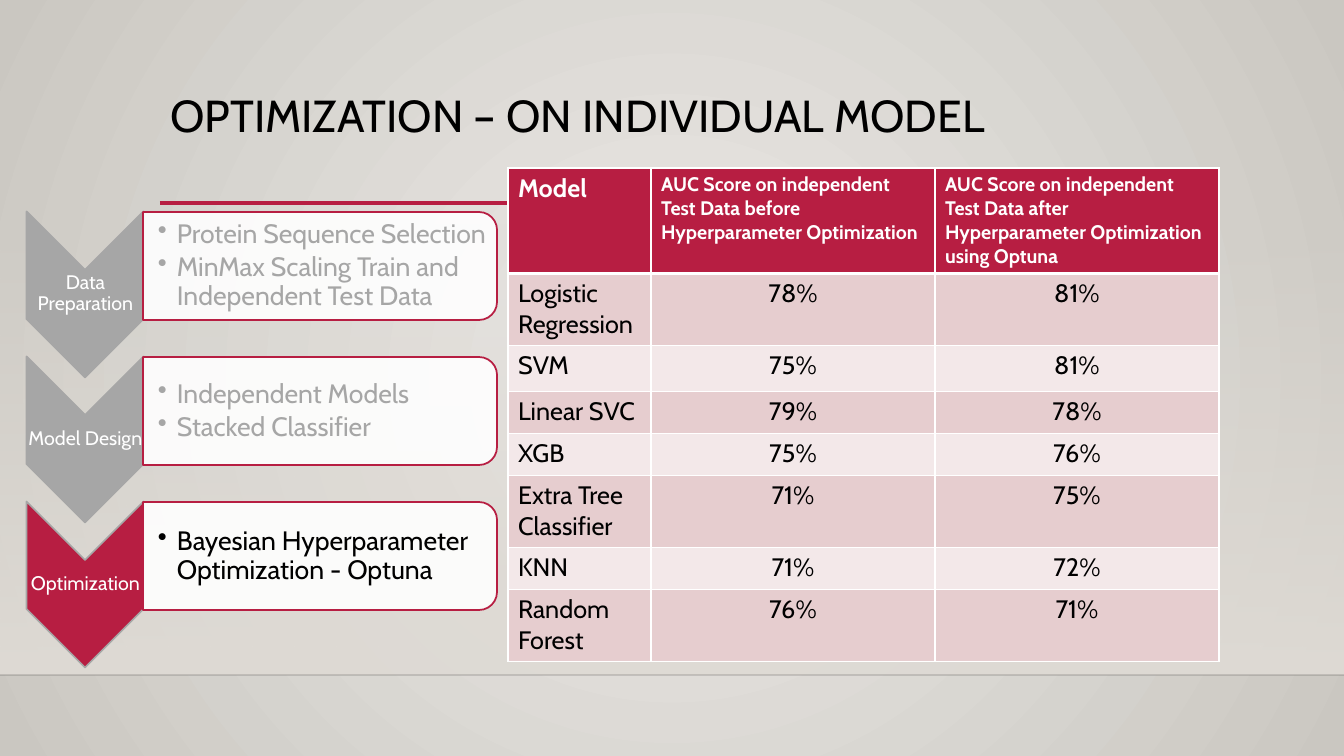
from dataclasses import dataclass

from lxml import etree
from pptx import Presentation
from pptx.dml.color import RGBColor
from pptx.enum.shapes import MSO_CONNECTOR, MSO_SHAPE
from pptx.enum.text import MSO_ANCHOR, MSO_AUTO_SIZE, PP_ALIGN
from pptx.oxml.ns import qn
from pptx.util import Emu, Pt

RECT, CHEVRON, CARD = MSO_SHAPE.RECTANGLE, MSO_SHAPE.CHEVRON, MSO_SHAPE.ROUND_2_SAME_RECTANGLE
STRAIGHT = MSO_CONNECTOR.STRAIGHT
TOP, MIDDLE = MSO_ANCHOR.TOP, MSO_ANCHOR.MIDDLE
LEFT, CENTER = PP_ALIGN.LEFT, PP_ALIGN.CENTER

WIDE, HIGH = 1344, 756
SCALE = 12192000 / WIDE
STEP = 145


@dataclass(frozen=True)
class Theme:
    font: str = "Cabin"
    ink: str = "000000"
    white: str = "FFFFFF"
    red: str = "B71E42"
    gray: str = "A6A6A6"
    glow: str = "ECEAE7"
    edge: str = "CAC7C1"
    wall: str = "DFDBD5"
    floor: str = "000001"
    odd: str = "E6CDCF"
    even: str = "F3E8E9"
    title: int = 32
    item: int = 19
    cell: int = 18
    small: int = 14


T = Theme()

STAGES = [
    ("Data Preparation", T.gray, T.gray,
     ["Protein Sequence Selection", "MinMax Scaling Train and Independent Test Data"]),
    ("Model Design", T.gray, T.gray, ["Independent Models", "Stacked Classifier"]),
    ("Optimization", T.red, T.ink, ["Bayesian Hyperparameter Optimization - Optuna"]),
]
HEADS = [
    "Model",
    "AUC Score on independent Test Data before Hyperparameter Optimization",
    "AUC Score on independent Test Data after Hyperparameter Optimization using Optuna",
]
SCORES = [
    ("Logistic Regression", "78%", "81%"),
    ("SVM", "75%", "81%"),
    ("Linear SVC", "79%", "78%"),
    ("XGB", "75%", "76%"),
    ("Extra Tree Classifier", "71%", "75%"),
    ("KNN", "71%", "72%"),
    ("Random Forest", "76%", "71%"),
]
COLS = [143, 284, 284]
ROWS = [105, 72, 46, 42, 42, 72, 42, 72]


def px(n):
    return Emu(round(n * SCALE))


def box(*sides):
    return [px(n) for n in sides]


def rgb(code):
    return RGBColor.from_string(code)


def sub(node, tag, **attrs):
    return etree.SubElement(node, qn(tag), attrs)


def fade(node, pct):
    """Set the opacity of the first colour under a node."""
    sub(next(node.iter(qn("a:srgbClr"))), "a:alpha", val=str(pct * 1000))


def blend(fill, first, last):
    """Start a two-stop gradient and return its XML without a direction."""
    fill.gradient()
    for stop, color in zip(fill.gradient_stops, (first, last)):
        stop.color.rgb = rgb(color)
    return fill


def aim(node, tag, **attrs):
    grad = next(node.iter(qn("a:gradFill")))
    grad.remove(grad.find(qn("a:lin")))
    way = etree.Element(qn(tag), attrs)
    grad.find(qn("a:gsLst")).addnext(way)
    return way


def write(para, text, size, color, bold=False, align=LEFT, lead=None):
    para.alignment = align
    para.line_spacing = lead
    run = para.add_run()
    run.text = text
    font = run.font
    font.name, font.size, font.bold = T.font, Pt(size), bold
    font.color.rgb = rgb(color)


def form(slide, kind, sides, fill=None, line=None, turn=0):
    shape = slide.shapes.add_shape(kind, *box(*sides))
    shape.shadow.inherit = False
    shape.rotation = turn
    if fill:
        shape.fill.solid()
        shape.fill.fore_color.rgb = rgb(fill)
    if line:
        shape.line.color.rgb = rgb(line)
        shape.line.width = Pt(1.25)
    else:
        shape.line.fill.background()
    return shape


def rule(slide, left, right, y, color, width):
    line = slide.shapes.add_connector(STRAIGHT, *box(left, y, right, y))
    line.line.color.rgb = rgb(color)
    line.line.width = Pt(width)
    props = line._element.spPr
    sub(props, "a:effectLst")
    return props


def label(slide, sides, inset):
    frame = slide.shapes.add_textbox(*box(*sides)).text_frame
    frame.word_wrap = True
    frame.vertical_anchor = MIDDLE
    frame.margin_left = px(inset)
    frame.margin_right = frame.margin_top = frame.margin_bottom = px(1)
    return frame


def bullet(para):
    props = para._p.get_or_add_pPr()
    props.set("marL", str(px(19)))
    props.set("indent", str(-px(19)))
    sub(props, "a:buChar", char="•")


def scene(slide):
    fill = blend(slide.background.fill, T.glow, T.edge)
    fill.gradient_stops[0].position = 0
    way = aim(slide._element.cSld, "a:path", path="circle")
    sub(way, "a:fillToRect", l="50000", t="50000", r="50000", b="50000")
    wall = form(slide, RECT, (0, 223, WIDE, 452))
    blend(wall.fill, T.wall, T.wall)
    aim(wall._element, "a:lin", ang="5400000", scaled="0")
    fade(wall._element.spPr, 0)
    fade(rule(slide, 0, WIDE, 675, T.floor, 1), 20)
    rule(slide, 160, 1220, 203, T.red, 2.5)


def heading(slide, text):
    title = slide.shapes.title
    title.left, title.top, title.width, title.height = box(160, 89, 1058, 116)
    frame = title.text_frame
    frame.vertical_anchor = TOP
    frame.auto_size = MSO_AUTO_SIZE.NONE
    write(frame.paragraphs[0], text, T.title, T.ink, lead=0.9)


def edges(cell, base):
    props = cell._tc.get_or_add_tcPr()
    for side, width in (("L", 1), ("R", 1), ("T", 1), ("B", base)):
        line = sub(props, "a:ln" + side, w=str(Pt(width)))
        sub(sub(line, "a:solidFill"), "a:srgbClr", val=T.white)


def scores(slide):
    grid = slide.shapes.add_table(len(ROWS), len(COLS),
                                  *box(508, 168, sum(COLS), sum(ROWS))).table
    for col, width in zip(grid.columns, COLS):
        col.width = px(width)
    for row, height in zip(grid.rows, ROWS):
        row.height = px(height)
    for r, texts in enumerate([HEADS] + SCORES):
        head = r == 0
        tint = T.red if head else T.odd if r % 2 else T.even
        for c, text in enumerate(texts):
            cell = grid.cell(r, c)
            edges(cell, 3 if head else 1)
            cell.fill.solid()
            cell.fill.fore_color.rgb = rgb(tint)
            write(cell.text_frame.paragraphs[0], text,
                  T.small if head and c else T.cell,
                  T.white if head else T.ink, bold=head,
                  align=LEFT if head or c == 0 else CENTER)


def stage(slide, drop, name, tint, ink, items):
    # Arrow and its name
    form(slide, CHEVRON, (2, 236 + drop, 166, 117), tint, T.gray, 90)
    frame = label(slide, (27, 269 + drop, 117, 50), 1)
    write(frame.paragraphs[0], name, T.small, T.white, align=CENTER, lead=0.9)
    # Card and its list
    card = form(slide, CARD, (266, 89 + drop, 108, 354), T.white, T.red, 90)
    fade(card._element.spPr, 90)
    frame = label(slide, (143, 217 + drop, 349, 98), 15)
    for i, item in enumerate(items):
        para = frame.add_paragraph() if i else frame.paragraphs[0]
        write(para, item, T.item, ink, lead=0.9)
        para.space_after = Pt(3)
        bullet(para)


def main():
    deck = Presentation()
    deck.slide_width, deck.slide_height = box(WIDE, HIGH)
    slide = deck.slides.add_slide(deck.slide_layouts[5])
    scene(slide)
    heading(slide, "OPTIMIZATION – ON INDIVIDUAL MODEL")
    scores(slide)
    for i, parts in enumerate(STAGES):
        stage(slide, i * STEP, *parts)
    deck.save("out.pptx")


if __name__ == "__main__":
    main()
